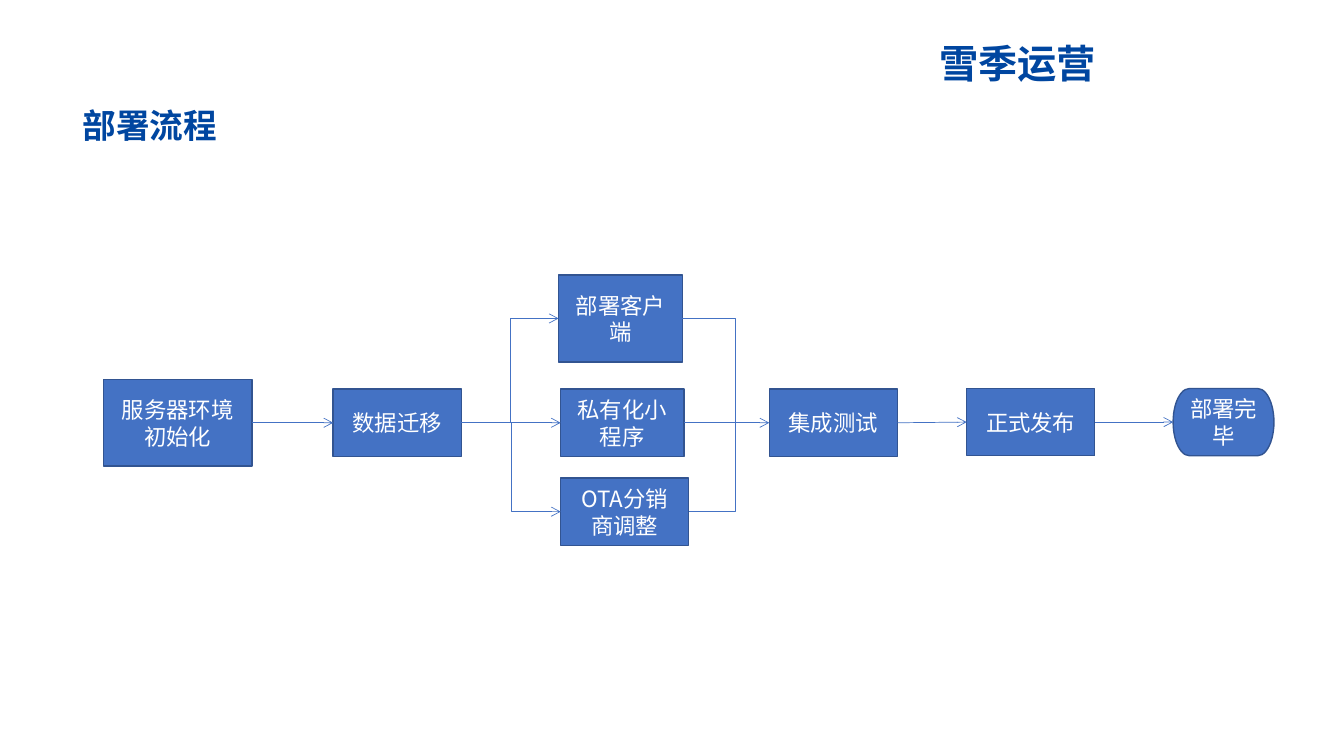
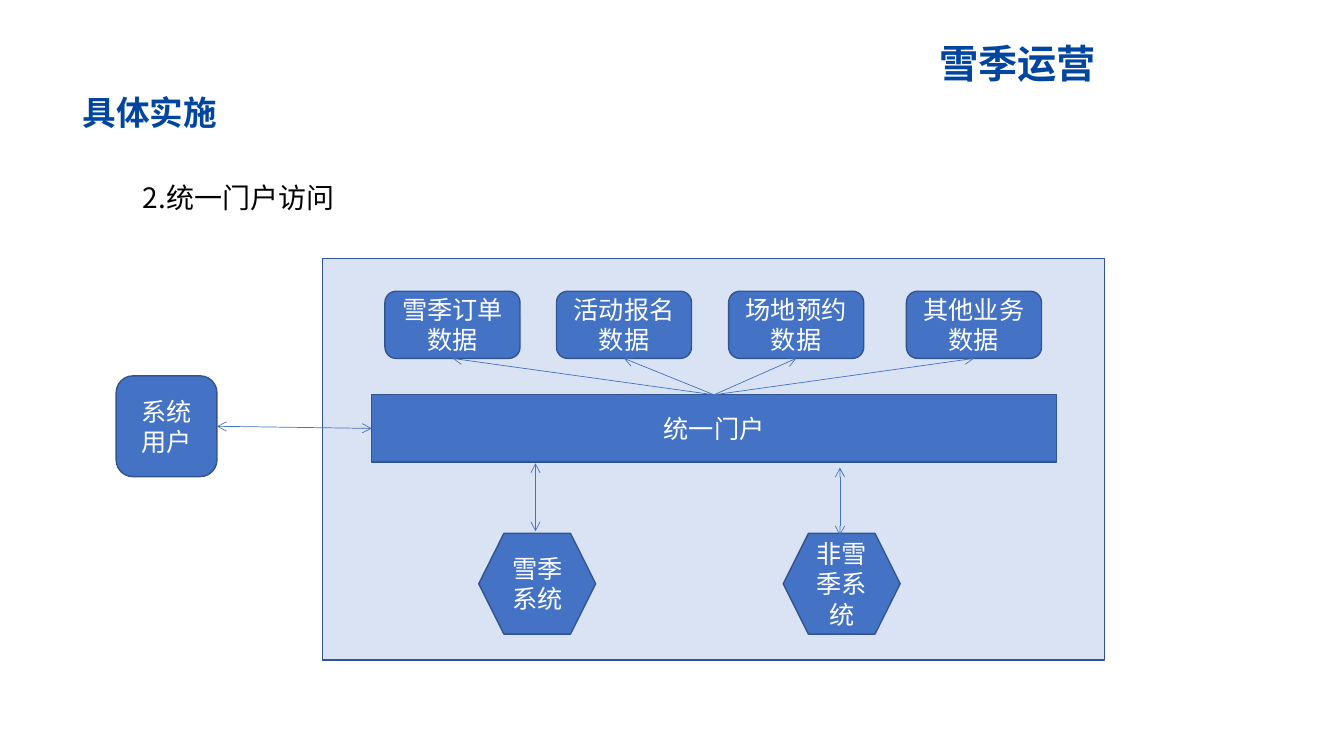
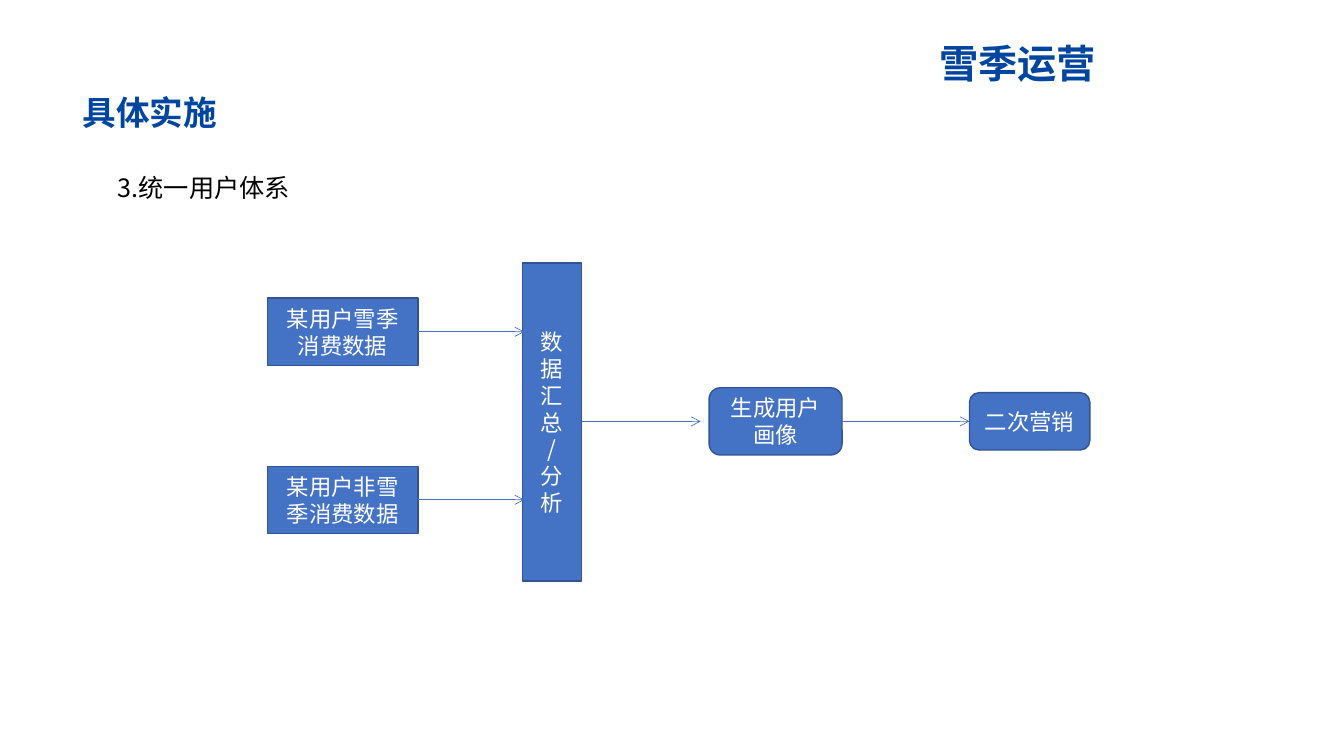
"""Build three slides on ski season operations: rollout flow, portal and user system."""
from lxml import etree
from pptx import Presentation
from pptx.dml.color import RGBColor
from pptx.enum.shapes import MSO_CONNECTOR, MSO_SHAPE
from pptx.enum.text import MSO_ANCHOR, MSO_AUTO_SIZE, PP_ALIGN
from pptx.oxml.ns import qn
from pptx.util import Pt

COLORS = {
    "title": "0046A0",
    "text": "000000",
    "white": "FFFFFF",
    "box": "4472C4",
    "edge": "325491",
    "panel": "DAE3F3",
}
FONT = "Noto Sans CJK SC"
PROCESS = MSO_SHAPE.FLOWCHART_PROCESS
ALTERNATE = MSO_SHAPE.FLOWCHART_ALTERNATE_PROCESS
TERMINATOR = MSO_SHAPE.FLOWCHART_TERMINATOR
ROUNDED = MSO_SHAPE.ROUNDED_RECTANGLE
RECTANGLE = MSO_SHAPE.RECTANGLE
HEXAGON = MSO_SHAPE.HEXAGON
STRAIGHT = MSO_CONNECTOR.STRAIGHT
ELBOW = MSO_CONNECTOR.ELBOW
CENTER = PP_ALIGN.CENTER
MIDDLE = MSO_ANCHOR.MIDDLE
GROW = MSO_AUTO_SIZE.SHAPE_TO_FIT_TEXT
TOP, LEFT, BOTTOM, RIGHT = range(4)


def rgb(name):
    return RGBColor.from_string(COLORS[name])


def write(tf, text, size, color, bold=False, font=FONT, align=None):
    tf.text = text
    for p in tf.paragraphs:
        if align is not None:
            p.alignment = align
        for r in p.runs:
            r.font.size = Pt(size)
            r.font.bold = bold
            r.font.color.rgb = rgb(color)
            r.font.name = font
            etree.SubElement(r._r.get_or_add_rPr(), qn("a:ea")).set("typeface", FONT)


def label(s, text, left, top, width, height, size, color="text", wrap=True, **style):
    tf = s.shapes.add_textbox(Pt(left), Pt(top), Pt(width), Pt(height)).text_frame
    tf.word_wrap = wrap
    tf.auto_size = GROW
    write(tf, text, size, color, **style)
    return tf


def box(s, text, left, top, width, height, size=16, kind=PROCESS, fill="box"):
    sp = s.shapes.add_shape(kind, Pt(left), Pt(top), Pt(width), Pt(height))
    sp.shadow.inherit = False
    sp.fill.solid()
    sp.fill.fore_color.rgb = rgb(fill)
    sp.line.color.rgb = rgb("edge")
    sp.line.width = Pt(1)
    if text:
        sp.text_frame.word_wrap = True
        sp.text_frame.vertical_anchor = MIDDLE
        write(sp.text_frame, text, size, "white", align=CENTER)
    return sp


def line(s, x1, y1, x2, y2, kind=STRAIGHT, ends=("tailEnd",)):
    cxn = s.shapes.add_connector(kind, Pt(x1), Pt(y1), Pt(x2), Pt(y2))
    cxn.line.color.rgb = rgb("box")
    cxn.line.width = Pt(0.5)
    properties = cxn._element.spPr
    for end in ends:
        etree.SubElement(properties.find(qn("a:ln")), qn(f"a:{end}")).set("type", "arrow")
    etree.SubElement(properties, qn("a:effectLst"))
    return cxn


def link(s, start, end, sites=(RIGHT, LEFT), **style):
    cxn = line(s, 0, 0, 0, 0, **style)
    cxn.begin_connect(start, sites[0])
    cxn.end_connect(end, sites[1])


def corner(s, x1, y1, x2, y2):
    cxn = line(s, x1, y1, x2, y2, kind=ELBOW, ends=())
    cxn._element.spPr.find(qn("a:prstGeom")).set("prst", "bentConnector2")


def new_slide(prs, heading, top):
    s = prs.slides.add_slide(prs.slide_layouts[6])
    tf = label(s, heading, 0, top, 213, 42, 24, "title", bold=True, font="Arial", align=CENTER)
    tf.margin_right = Pt(5.75)
    tf.paragraphs[0].line_spacing = 1.2
    label(s, "雪季运营", 664, 24.5, 127.5, 41, 28, "title", wrap=False, bold=True)
    return s


def deployment_slide(prs):
    s = new_slide(prs, "部署流程", 65.5)
    setup = box(s, "服务器环境初始化", 74, 271, 106, 62)
    migration = box(s, "数据迁移", 238, 278, 91.5, 48)
    agents = box(s, "OTA分销商调整", 400.5, 341.5, 91.5, 48)
    mini_app = box(s, "私有化小程序", 400.5, 278, 88, 48)
    testing = box(s, "集成测试", 549.5, 278, 91.5, 48)
    done = box(s, "部署完毕", 838, 277.5, 72, 48, kind=TERMINATOR)
    release = box(s, "正式发布", 690.5, 277.5, 91.5, 48)
    client = box(s, "部署客户端", 399, 196.5, 88.5, 62)
    flow = [setup, migration, mini_app, testing, release, done]
    for start, end in zip(flow, flow[1:]):
        link(s, start, end)
    for branch in (client, agents):
        link(s, migration, branch, kind=ELBOW)
    corner(s, 487.5, 227.5, 525, 304)
    corner(s, 492, 365.5, 525, 301)


def portal_slide(prs):
    s = new_slide(prs, "具体实施", 56)
    label(s, "2.统一门户访问", 95, 125.5, 154, 31.5, 20)
    user = box(s, "系统用户", 83, 268.5, 72, 72, 18, ROUNDED)
    box(s, "", 230.5, 184.5, 558.5, 287, kind=RECTANGLE, fill="panel")
    portal = box(s, "统一门户", 265.5, 282, 489, 48, 18)
    for text, left, arrow_top in (("雪季系统", 342, 331), ("非雪季系统", 559.5, 334)):
        box(s, text, left, 381, 83.5, 72, 18, HEXAGON)
        x = left + 40.5
        line(s, x, arrow_top, x, arrow_top + 48.5, ends=("headEnd", "tailEnd"))
    link(s, user, portal, ends=("headEnd", "tailEnd"))
    sources = (("雪季订单数据", 275), ("活动报名数据", 397.5),
               ("场地预约数据", 520.5), ("其他业务数据", 647.5))
    for text, left in sources:
        source = box(s, text, left, 208, 96.5, 48, 18, ALTERNATE)
        link(s, portal, source, (TOP, BOTTOM))


def user_system_slide(prs):
    s = new_slide(prs, "具体实施", 56)
    label(s, "3.统一用户体系", 77, 119.5, 154, 29, 18)
    analysis = box(s, "数据汇总\n/\n分析", 373, 188, 42.5, 227)
    for text, top in (("某用户雪季消费数据", 213), ("某用户非雪季消费数据", 333)):
        box(s, text, 191, top, 107.5, 48)
        line(s, 298.5, top + 24, 374.5, top + 24)
    profile = box(s, "生成用户画像", 506.5, 277, 95, 48, kind=ALTERNATE)
    line(s, 415.5, 301, 500.5, 301)
    marketing = box(s, "二次营销", 692.5, 280.5, 86, 41, kind=ROUNDED)
    link(s, profile, marketing)


def main():
    prs = Presentation()
    prs.slide_width, prs.slide_height = Pt(960), Pt(540)
    deployment_slide(prs)
    portal_slide(prs)
    user_system_slide(prs)
    prs.save("out.pptx")


if __name__ == "__main__":
    main()
